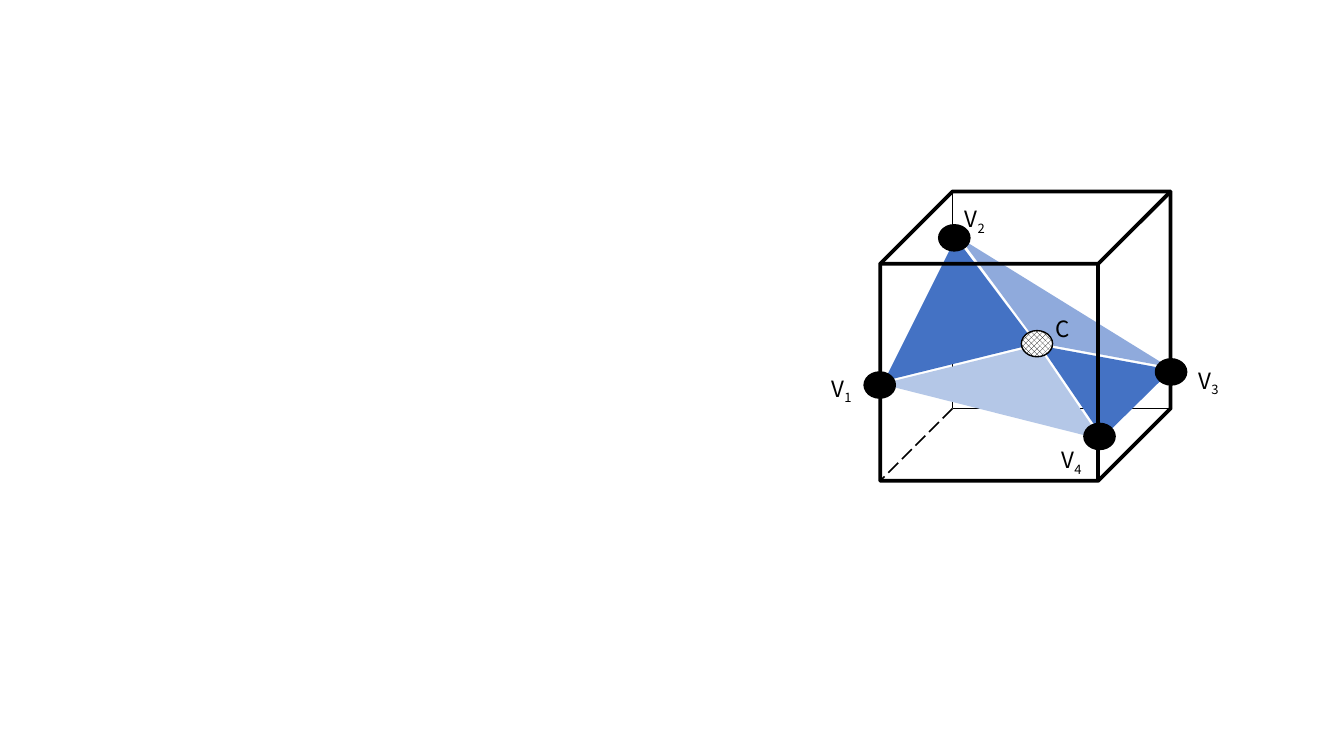
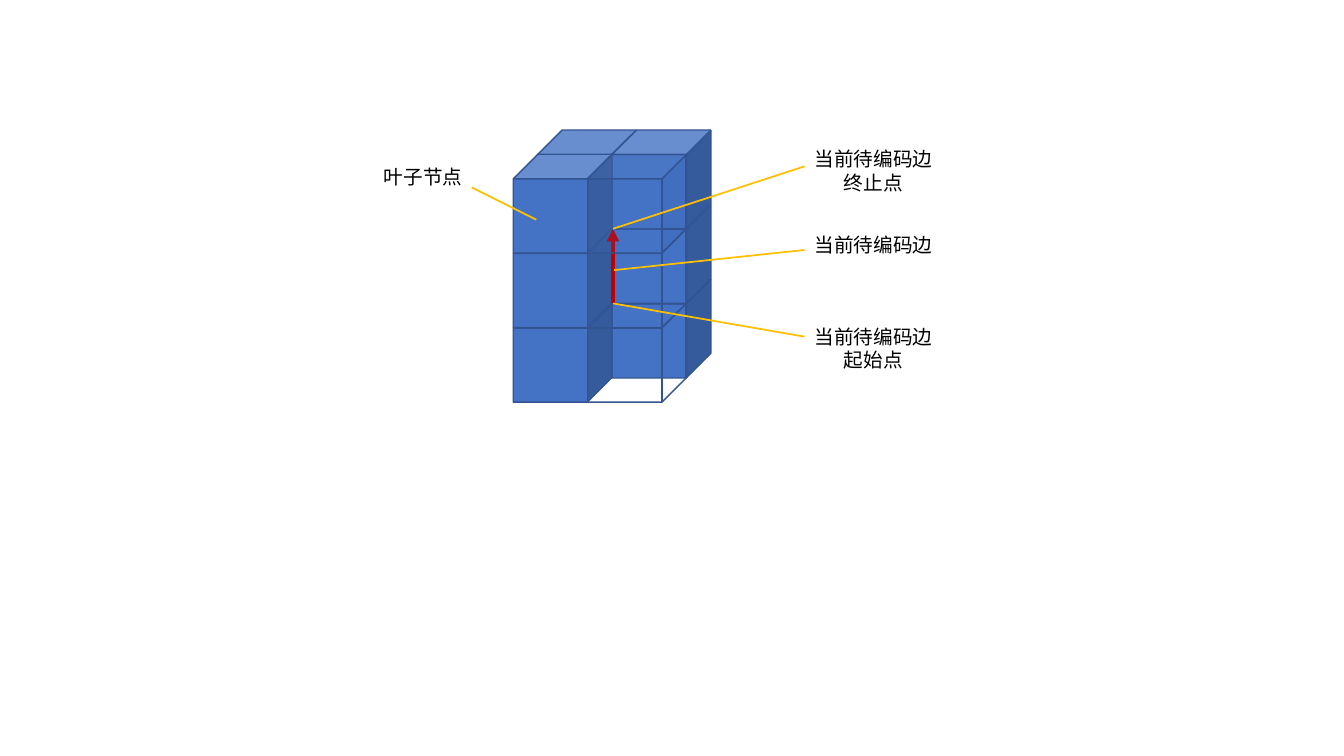
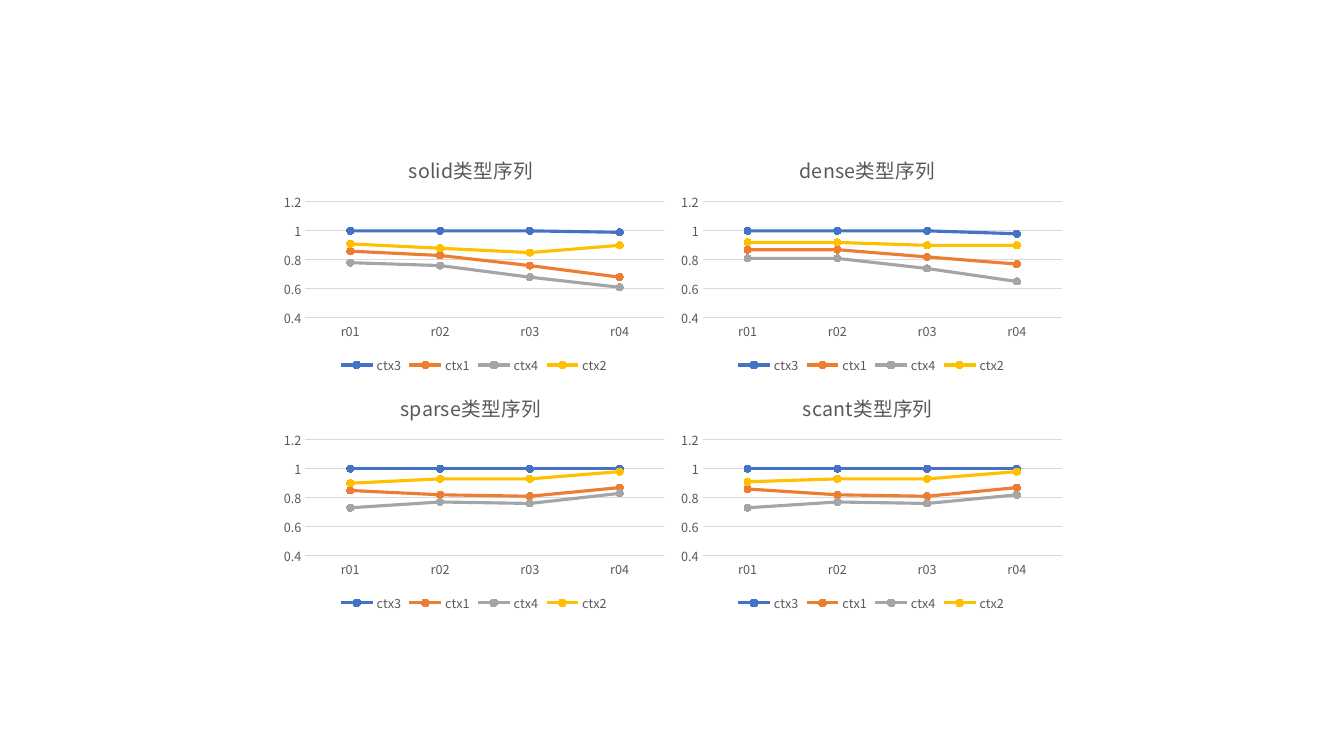
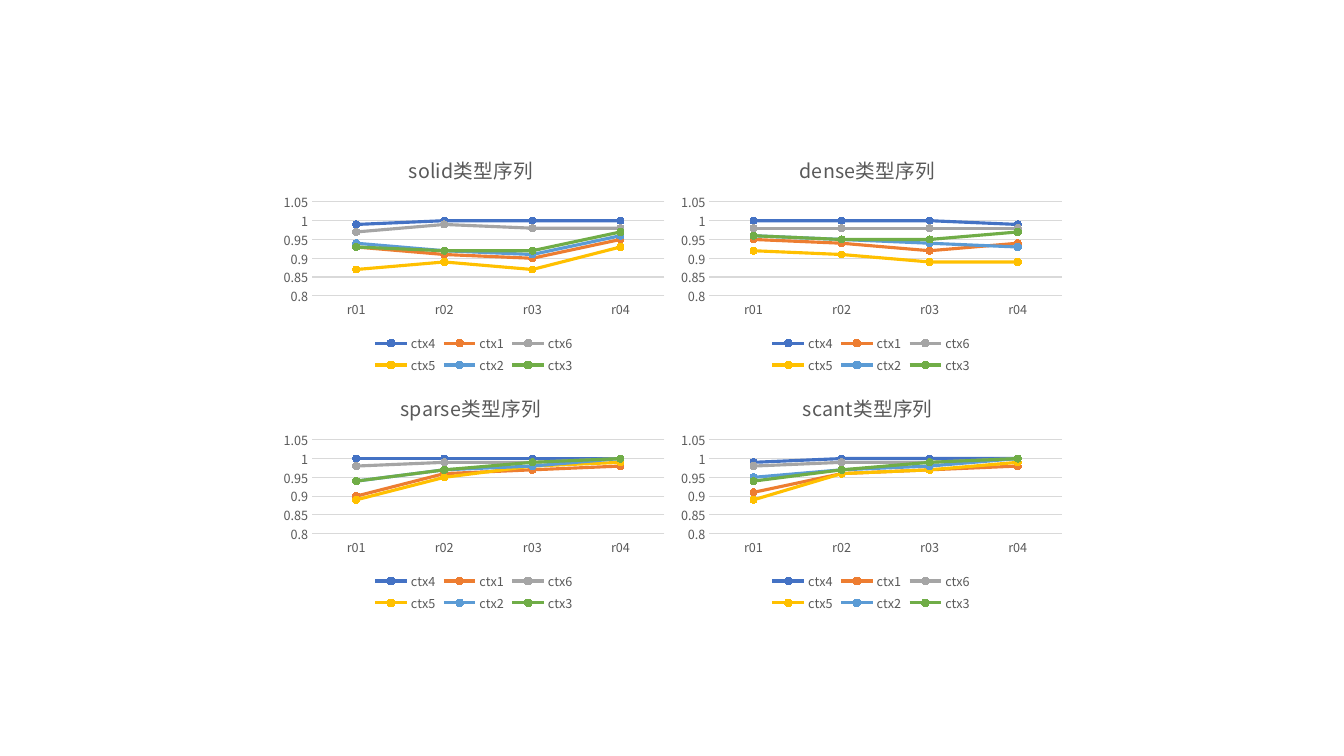
from lxml.etree import SubElement
from pptx import Presentation
from pptx.chart.data import CategoryChartData
from pptx.dml.color import RGBColor
from pptx.enum.chart import (XL_CHART_TYPE, XL_LEGEND_POSITION as LEGEND,
                             XL_MARKER_STYLE as MARKER, XL_TICK_MARK as TICK)
from pptx.enum.dml import MSO_LINE, MSO_PATTERN
from pptx.enum.shapes import MSO_CONNECTOR, MSO_SHAPE as SHAPE
from pptx.enum.text import MSO_AUTO_SIZE, PP_ALIGN
from pptx.oxml.ns import qn
from pptx.util import Inches, Pt

FONT = "Noto Sans CJK SC"
BLACK = RGBColor(0x00, 0x00, 0x00)
WHITE = RGBColor(0xFF, 0xFF, 0xFF)
BLUE = RGBColor(0x44, 0x72, 0xC4)
MID_BLUE = RGBColor(0x8F, 0xAA, 0xDC)
PALE_BLUE = RGBColor(0xB4, 0xC7, 0xE7)
EDGE_BLUE = RGBColor(0x32, 0x54, 0x91)
SKY_BLUE = RGBColor(0x5B, 0x9B, 0xD5)
ORANGE = RGBColor(0xED, 0x7D, 0x31)
GRAY = RGBColor(0xA5, 0xA5, 0xA5)
GOLD = RGBColor(0xFF, 0xC0, 0x00)
GREEN = RGBColor(0x70, 0xAD, 0x47)
RED = RGBColor(0xC0, 0x00, 0x00)
TEXT_GRAY = RGBColor(0x59, 0x59, 0x59)
GRID_GRAY = RGBColor(0xD9, 0xD9, 0xD9)
SERIES_COLORS = (BLUE, ORANGE, GRAY, GOLD, SKY_BLUE, GREEN)

# Slide 1: cube with the surface through its vertices
CUBE_BOX = (8.73, 1.9, 2.88, 2.87)
FACETS = [
    (BLUE, [(11.62, 3.67), (10.32, 3.43), (10.94, 4.34)]),
    (MID_BLUE, [(9.52, 2.36), (10.29, 3.4), (11.59, 3.64)]),
    (PALE_BLUE, [(8.74, 3.81), (10.92, 4.36), (10.29, 3.43)]),
    (BLUE, [(8.77, 3.78), (9.48, 2.36), (10.27, 3.41)]),
]
DOT_SIZE = (0.31, 0.26)
# letter, subscript, dot corner, label box
VERTICES = [
    ("V", "2", (9.31, 2.23), (9.47, 1.99, 0.66, 0.37)),
    ("V", "1", (8.57, 3.69), (8.15, 3.67, 0.53, 0.37)),
    ("V", "4", (10.75, 4.2), (10.43, 4.38, 0.56, 0.37)),
    ("V", "3", (11.46, 3.56), (11.79, 3.59, 0.66, 0.37)),
    ("C", "", (10.13, 3.28), (10.37, 3.08, 0.68, 0.37)),
]

# Slide 2: stacked nodes; each node is (column, depth, opacity in percent)
STACK_LEFT, STACK_TOP = 5.09, 1.53
NODE_SIZE, NODE_PITCH, DEPTH_STEP = 0.98, 0.74, 0.24
BACK_ROW = [(0, 1, 100), (1, 1, 100)]
LOWER_LEVELS = [
    (2, BACK_ROW + [(0, 0, 100), (1, 0, 0)]),
    (1, BACK_ROW + [(1, 0, 0), (0, 0, 100)]),
]
TOP_LEVEL = [(0, BACK_ROW + [(0, 0, 100), (1, 0, 15)])]
EDGE_START, EDGE_END = (6.08, 3.01), (6.08, 2.27)
# text lines, label box, leader start, leader end
CALLOUTS = [
    (["当前待编码边"], (7.98, 2.26, 1.38, 0.34), (6.09, 2.68), (7.98, 2.48)),
    (["当前待编码边", "起始点"], (7.98, 3.17, 1.38, 0.57), EDGE_START, (7.98, 3.34)),
    (["当前待编码边", "终止点"], (7.98, 1.41, 1.38, 0.57), EDGE_END, (7.98, 1.65)),
    (["叶子节点"], (3.71, 1.59, 0.99, 0.34), (5.32, 2.18), (4.68, 1.86)),
]

# Slides 3 and 4: two by two line charts
CHART_LEFT, CHART_TOP, CHART_WIDTH, CHART_HEIGHT = 2.73, 1.39, 3.94, 2.36
CATEGORIES = ["r01", "r02", "r03", "r04"]
# title and its left edge as a share of the chart's width
CHART_TITLES = [("solid类型序列", 0.327), ("dense类型序列", 0.311),
                ("sparse类型序列", 0.306), ("scant类型序列", 0.319)]
TITLE_TOP = 0.04
CHART_SLIDES = [
    {
        "scale": (0.4, 1.2, 0.2),
        "plot": (0.076, 0.26, 0.904, 0.487),
        "series": ["ctx3", "ctx1", "ctx4", "ctx2"],
        "charts": [
            [(1, 1, 1, 0.99), (0.86, 0.83, 0.76, 0.68),
             (0.78, 0.76, 0.68, 0.61), (0.91, 0.88, 0.85, 0.9)],
            [(1, 1, 1, 0.98), (0.87, 0.87, 0.82, 0.77),
             (0.81, 0.81, 0.74, 0.65), (0.92, 0.92, 0.9, 0.9)],
            [(1, 1, 1, 1), (0.85, 0.82, 0.81, 0.87),
             (0.73, 0.77, 0.76, 0.83), (0.9, 0.93, 0.93, 0.98)],
            [(1, 1, 1, 1), (0.86, 0.82, 0.81, 0.87),
             (0.73, 0.77, 0.76, 0.82), (0.91, 0.93, 0.93, 0.98)],
        ],
    },
    {
        "scale": (0.8, 1.05, 0.05),
        "plot": (0.093, 0.26, 0.887, 0.395),
        "series": ["ctx4", "ctx1", "ctx6", "ctx5", "ctx2", "ctx3"],
        "charts": [
            [(0.99, 1, 1, 1), (0.93, 0.91, 0.9, 0.95), (0.97, 0.99, 0.98, 0.98),
             (0.87, 0.89, 0.87, 0.93), (0.94, 0.92, 0.91, 0.96), (0.93, 0.92, 0.92, 0.97)],
            [(1, 1, 1, 0.99), (0.95, 0.94, 0.92, 0.94), (0.98, 0.98, 0.98, 0.98),
             (0.92, 0.91, 0.89, 0.89), (0.96, 0.95, 0.94, 0.93), (0.96, 0.95, 0.95, 0.97)],
            [(1, 1, 1, 1), (0.9, 0.96, 0.97, 0.98), (0.98, 0.99, 0.99, 1),
             (0.89, 0.95, 0.98, 0.99), (0.94, 0.97, 0.98, 1), (0.94, 0.97, 0.99, 1)],
            [(0.99, 1, 1, 1), (0.91, 0.96, 0.97, 0.98), (0.98, 0.99, 0.99, 1),
             (0.89, 0.96, 0.97, 0.99), (0.95, 0.97, 0.98, 1), (0.94, 0.97, 0.99, 1)],
        ],
    },
]


def inches(values):
    """Turn a sequence of numbers into lengths."""
    return [Inches(value) for value in values]


def style_font(font, size, color):
    """Set the deck's typeface with a size and colour."""
    font.name = FONT
    font.size = Pt(size)
    font.color.rgb = color


def use_font_for_chinese(root):
    """Repeat every Latin typeface as the East Asian one."""
    for latin in list(root.iter(qn("a:latin"))):
        east_asian = latin.makeelement(qn("a:ea"), {"typeface": FONT})
        latin.addnext(east_asian)


def add_line(slide, start, end, color, width):
    """Draw a straight line without a shadow."""
    line = slide.shapes.add_connector(MSO_CONNECTOR.STRAIGHT, *inches(start + end))
    line.line.color.rgb = color
    line.line.width = Pt(width)
    SubElement(line._element.spPr, qn("a:effectLst"))
    return line


def add_figure(slide, kind, box, line_color, width, fill=None):
    """Draw an outlined preset shape, hollow unless a fill is given."""
    figure = slide.shapes.add_shape(kind, *inches(box))
    figure.shadow.inherit = False
    figure.line.color.rgb = line_color
    figure.line.width = Pt(width)
    if fill is None:
        figure.fill.background()
    else:
        figure.fill.solid()
        figure.fill.fore_color.rgb = fill
    return figure


def add_facet(slide, color, points):
    """Draw a filled triangle without an outline."""
    corners = [inches(point) for point in points]
    builder = slide.shapes.build_freeform(*corners[0])
    builder.add_line_segments(corners[1:], close=True)
    facet = builder.convert_to_shape()
    facet.shadow.inherit = False
    facet.fill.solid()
    facet.fill.fore_color.rgb = color
    facet.line.fill.background()


def add_label(slide, box, lines, size, wrap):
    """Add a text box; lines after the first are centred."""
    frame = slide.shapes.add_textbox(*inches(box)).text_frame
    frame.word_wrap = wrap
    frame.auto_size = MSO_AUTO_SIZE.SHAPE_TO_FIT_TEXT
    frame.text = "\n".join(lines)
    for index, paragraph in enumerate(frame.paragraphs):
        if index:
            paragraph.alignment = PP_ALIGN.CENTER
        style_font(paragraph.runs[0].font, size, BLACK)
    return frame


def build_surface(slide):
    """Draw the cube, its hidden edges, the facets and the vertices."""
    left, top, width, height = CUBE_BOX
    depth = min(width, height) / 4
    hidden = (left + depth, top + height - depth)
    diagonal = add_line(slide, hidden, (left, top + height), BLACK, 1.25)
    diagonal.line.dash_style = MSO_LINE.LONG_DASH
    for end in ((hidden[0], top), (left + width, hidden[1])):
        add_line(slide, hidden, end, BLACK, 0.5)
    for color, points in FACETS:
        add_facet(slide, color, points)
    add_figure(slide, SHAPE.CUBE, CUBE_BOX, BLACK, 2.75)
    for letter, subscript, corner, label_box in VERTICES:
        dot = add_figure(slide, SHAPE.OVAL, corner + DOT_SIZE, BLACK, 1, BLACK)
        frame = add_label(slide, label_box, [letter], 16, True)
        if subscript:
            run = frame.paragraphs[0].add_run()
            run.text = subscript
            style_font(run.font, 16, BLACK)
            run._r.get_or_add_rPr().set("baseline", "-25000")
        else:
            dot.fill.patterned()
            dot.fill.pattern = MSO_PATTERN.LARGE_CHECKER_BOARD
            dot.fill.fore_color.rgb = BLACK
            dot.fill.back_color.rgb = WHITE


def add_nodes(slide, levels):
    """Draw the cubes of some levels, from back to front."""
    for level, nodes in levels:
        for column, depth, opacity in nodes:
            left = STACK_LEFT + column * NODE_PITCH + depth * DEPTH_STEP
            top = STACK_TOP + level * NODE_PITCH - depth * DEPTH_STEP
            node = add_figure(slide, SHAPE.CUBE, (left, top, NODE_SIZE, NODE_SIZE),
                              EDGE_BLUE, 1, BLUE if opacity else None)
            if 0 < opacity < 100:
                color = node._element.spPr.find(qn("a:solidFill"))[0]
                SubElement(color, qn("a:alpha"), val=str(opacity * 1000))


def build_stack(slide):
    """Draw the stacked nodes, the edge to encode and the callouts."""
    add_nodes(slide, LOWER_LEVELS)
    edge = add_line(slide, EDGE_START, EDGE_END, RED, 3)
    SubElement(edge.line._get_or_add_ln(), qn("a:tailEnd"), type="triangle")
    add_nodes(slide, TOP_LEVEL)
    for lines, box, start, end in CALLOUTS:
        add_line(slide, start, end, GOLD, 1.25)
        add_label(slide, box, lines, 14, False)


def place(element, shares, inner=False):
    """Give a chart part a fixed place, in shares of the chart."""
    layout = element.find(qn("c:layout"))
    if layout is None:
        layout = element.makeelement(qn("c:layout"), {})
        text = element.find(qn("c:tx"))
        if text is None:
            element.insert(0, layout)
        else:
            text.addnext(layout)
    for child in list(layout):
        layout.remove(child)
    manual = SubElement(layout, qn("c:manualLayout"))
    if inner:
        SubElement(manual, qn("c:layoutTarget"), val="inner")
    for name in ("xMode", "yMode"):
        SubElement(manual, qn("c:" + name), val="edge")
    for name, share in zip("xywh", shares):
        SubElement(manual, qn("c:" + name), val=str(share))


def style_axes(chart, scale):
    """Format both axes, the gridlines and the value scale."""
    category, value = chart.category_axis, chart.value_axis
    for axis in (category, value):
        axis.major_tick_mark = axis.minor_tick_mark = TICK.NONE
        style_font(axis.tick_labels.font, 9, TEXT_GRAY)
    value.minimum_scale, value.maximum_scale, value.major_unit = scale
    value.format.line.fill.background()
    value.has_major_gridlines = True
    for line in (category.format.line, value.major_gridlines.format.line):
        line.color.rgb = GRID_GRAY
        line.width = Pt(0.75)
    value.tick_labels.number_format = "General"
    value.tick_labels.number_format_is_linked = False


def style_series(series, color):
    """Give a series a straight line and round markers in one colour."""
    series.smooth = False
    series.format.line.color.rgb = color
    series.format.line.width = Pt(2.25)
    series.marker.style = MARKER.CIRCLE
    series.marker.size = 5
    series.marker.format.fill.solid()
    series.marker.format.fill.fore_color.rgb = color
    series.marker.format.line.color.rgb = color


def add_line_chart(slide, box, title, title_left, rows, settings):
    """Add one titled line chart with a legend below."""
    data = CategoryChartData()
    data.categories = CATEGORIES
    for name, values in zip(settings["series"], rows):
        data.add_series(name, values)
    chart = slide.shapes.add_chart(XL_CHART_TYPE.LINE_MARKERS, *inches(box), data).chart
    style_font(chart.font, 10, BLACK)
    chart.has_title = True
    chart.chart_title.text_frame.text = title
    run = chart.chart_title.text_frame.paragraphs[0].runs[0]
    style_font(run.font, 14, TEXT_GRAY)
    run.font.bold = False
    chart.has_legend = True
    chart.legend.position = LEGEND.BOTTOM
    chart.legend.include_in_layout = False
    style_font(chart.legend.font, 9, TEXT_GRAY)
    style_axes(chart, settings["scale"])
    chart.plots[0].vary_by_categories = False
    for series, color in zip(chart.plots[0].series, SERIES_COLORS):
        style_series(series, color)
    chart_space = chart._chartSpace
    place(next(chart_space.iter(qn("c:title"))), (title_left, TITLE_TOP))
    place(next(chart_space.iter(qn("c:plotArea"))), settings["plot"], inner=True)
    use_font_for_chinese(chart_space)


def build_charts(slide, settings):
    """Lay out four charts in two columns and two rows."""
    for index, ((title, title_left), rows) in enumerate(zip(CHART_TITLES, settings["charts"])):
        row, column = divmod(index, 2)
        box = (CHART_LEFT + column * CHART_WIDTH, CHART_TOP + row * CHART_HEIGHT,
               CHART_WIDTH, CHART_HEIGHT)
        add_line_chart(slide, box, title, title_left, rows, settings)


def main():
    """Build the four slides and save them."""
    presentation = Presentation()
    presentation.slide_width, presentation.slide_height = inches((13.33, 7.5))
    blank = presentation.slide_layouts[6]
    build_surface(presentation.slides.add_slide(blank))
    build_stack(presentation.slides.add_slide(blank))
    for settings in CHART_SLIDES:
        build_charts(presentation.slides.add_slide(blank), settings)
    for slide in presentation.slides:
        use_font_for_chinese(slide._element)
    presentation.save("out.pptx")


main()
